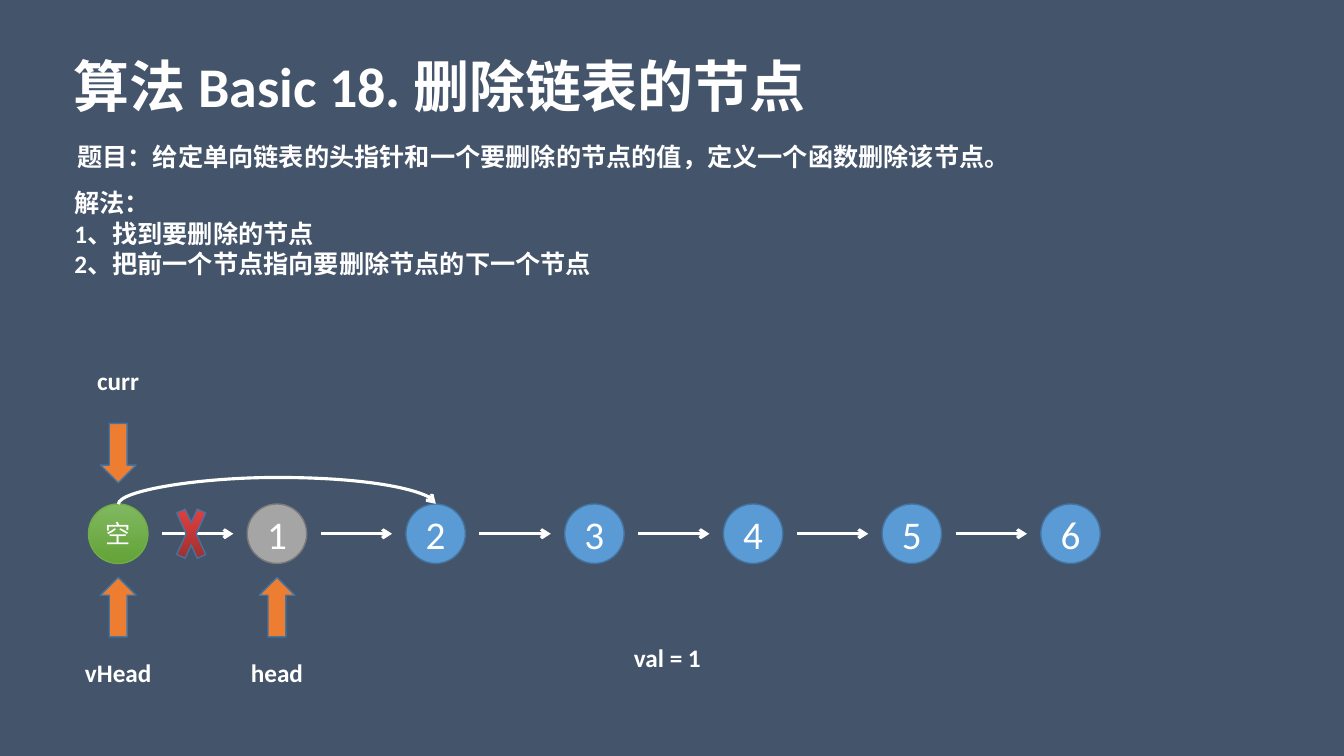
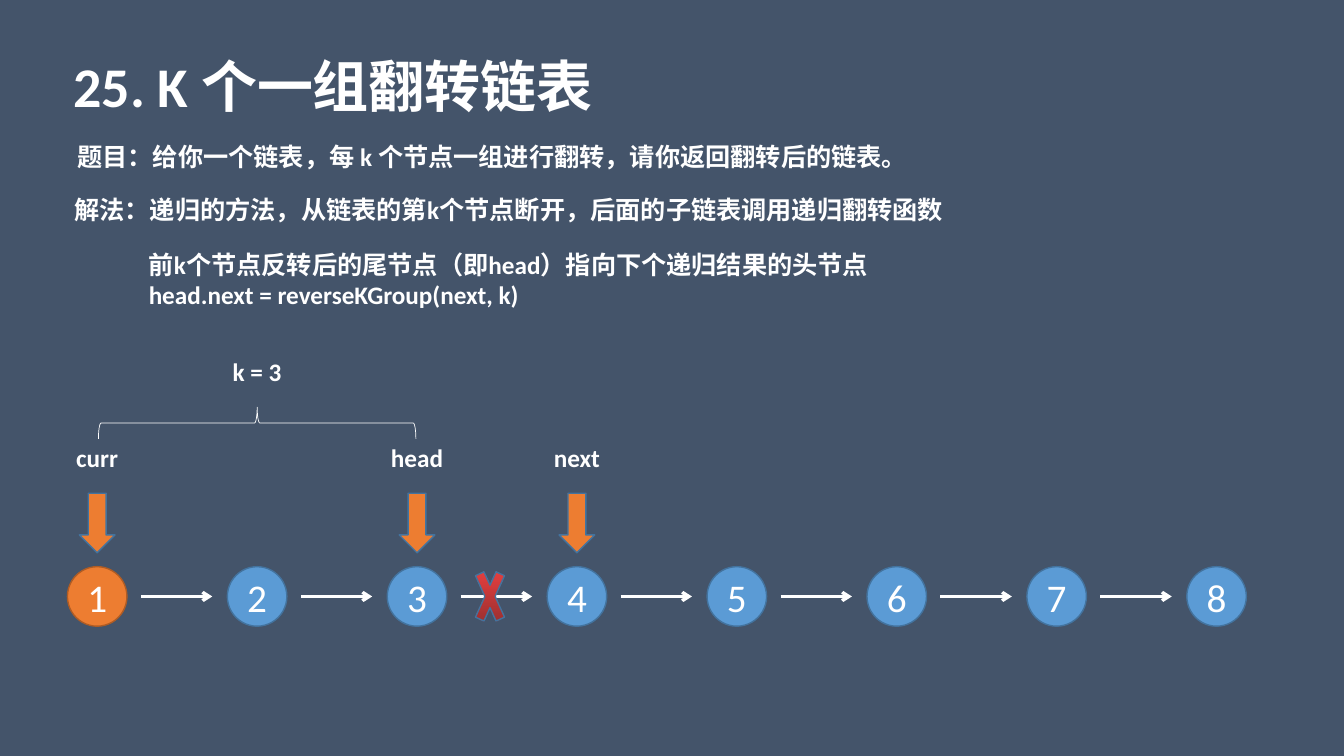
import pptx
import pptx.util
import pptx.dml.color
import pptx.enum.dml
import pptx.enum.shapes
import pptx.enum.text
import pptx.oxml
import pptx.oxml.ns
from lxml import etree

Cm = pptx.util.Cm
Pt = pptx.util.Pt
qn = pptx.oxml.ns.qn
SHAPE = pptx.enum.shapes.MSO_SHAPE
CONNECTOR = pptx.enum.shapes.MSO_CONNECTOR
ALIGN = pptx.enum.text.PP_ALIGN
ANCHOR = pptx.enum.text.MSO_ANCHOR

COLORS = {
    "background": "44546A",
    "white": "FFFFFF",
    "blue": "5B9BD5",
    "blue_edge": "43739E",
    "orange": "ED7D31",
    "orange_edge": "AF5C24",
    "gray": "A5A5A5",
    "gray_edge": "7A7A7A",
    "green_light": "81B861",
    "green_dark": "62A336",
    "green_edge": "70AD47",
    "red_light": "FE4444",
    "red_dark": "832B2B",
}
FONT = "Calibri"
NODE_SIZE = 1.5
LINK_OFFSET = 1.1
LINK_LENGTH = 1.8
CROSS_OFFSET = 1.84


def color(name):
    return pptx.dml.color.RGBColor.from_string(COLORS[name])


def write(frame, lines, size, bold=True, align=ALIGN.LEFT, anchor=ANCHOR.TOP):
    frame.word_wrap = True
    frame.auto_size = pptx.enum.text.MSO_AUTO_SIZE.NONE
    frame.vertical_anchor = anchor
    for index, line in enumerate(lines):
        para = frame.paragraphs[0] if index == 0 else frame.add_paragraph()
        para.alignment = align
        para.space_before = Pt(0)
        span = para.add_run()
        span.text = line
        span.font.name = FONT
        span.font.size = Pt(size)
        span.font.bold = bold
        span.font.color.rgb = color("white")


def place(box, left, top, width, height):
    box.left, box.top = Cm(left), Cm(top)
    box.width, box.height = Cm(width), Cm(height)


def add_text(page, lines, left, top, width, height=1.02, align=ALIGN.LEFT):
    box = page.shapes.add_textbox(Cm(left), Cm(top), Cm(width), Cm(height))
    write(box.text_frame, lines, 18, align=align)


def add_page(deck, title, problem, solution, solution_top):
    page = deck.slides.add_slide(deck.slide_layouts[1])
    heading, body = page.placeholders
    place(heading, 1.6, 1.17, 30, 1.96)
    write(heading.text_frame, [title], 40)
    add_text(page, [problem], 1.7, 3.44, 26)
    place(body, 1.62, solution_top, 31, 0.25 + 0.77 * len(solution))
    write(body.text_frame, solution, 18)
    for para in body.text_frame.paragraphs:
        properties = para._p.get_or_add_pPr()
        properties.set("marL", "0")
        properties.set("indent", "0")
        etree.SubElement(properties, qn("a:buNone"))
    return page


def add_figure(page, kind, x, y, width, height, fill, edge, edge_width=1):
    figure = page.shapes.add_shape(
        kind, Cm(x - width / 2), Cm(y - height / 2), Cm(width), Cm(height))
    figure.shadow.inherit = False
    if fill is None:
        figure.fill.background()
    elif isinstance(fill, tuple):
        figure.fill.gradient()
        figure.fill.gradient_angle = 270
        for stop, name in zip(figure.fill.gradient_stops, fill):
            stop.color.rgb = color(name)
    else:
        figure.fill.solid()
        figure.fill.fore_color.rgb = color(fill)
    figure.line.color.rgb = color(edge)
    figure.line.width = Pt(edge_width)
    return figure


def add_node(page, label, x, y, fill="blue", edge="blue_edge", size=28):
    node = add_figure(page, SHAPE.OVAL, x, y, NODE_SIZE, NODE_SIZE, fill, edge)
    frame = node.text_frame
    frame.margin_left = frame.margin_right = 0
    frame.margin_top = frame.margin_bottom = 0
    write(frame, [label], size, False, ALIGN.CENTER, ANCHOR.MIDDLE)


def style_arrow(arrow):
    arrow.line.color.rgb = color("white")
    arrow.line.width = Pt(2.25)
    tail = etree.SubElement(arrow.line._get_or_add_ln(), qn("a:tailEnd"))
    tail.set("type", "arrow")
    etree.SubElement(arrow._element.spPr, qn("a:effectLst"))


def add_link(page, x, y):
    start = x + LINK_OFFSET
    style_arrow(page.shapes.add_connector(
        CONNECTOR.STRAIGHT, Cm(start), Cm(y), Cm(start + LINK_LENGTH), Cm(y)))


def add_bypass(page, start, end, y, rise):
    middle, half = Cm((start + end) / 2), Cm((end - start) / 2)
    thickness = Pt(0.25)
    arc = page.shapes.add_connector(
        CONNECTOR.CURVE, middle, Cm(y) - half, middle + thickness, Cm(y) + half)
    properties = arc._element.spPr
    properties.find(qn("a:xfrm")).set("rot", "16200000")
    guides = properties.find(qn("a:prstGeom")).get_or_add_avLst()
    guide = etree.SubElement(guides, qn("a:gd"))
    guide.set("name", "adj1")
    guide.set("fmla", f"val {round(Cm(rise) / thickness * 100000)}")
    style_arrow(arc)


def add_chain(page, labels, start, step, y, styles):
    centers = [start + step * index for index in range(len(labels))]
    for label, x in zip(labels, centers):
        add_node(page, label, x, y, **styles.get(label, {}))
    for x in centers[:-1]:
        add_link(page, x, y)
    return centers


def add_pointer(page, name, x, y, arrow_gap, label_gap):
    kind = SHAPE.DOWN_ARROW if arrow_gap < 0 else SHAPE.UP_ARROW
    add_figure(page, kind, x, y + arrow_gap, 0.9, 1.5, "orange", "blue_edge")
    add_text(page, [name], x - 1.2, y + label_gap - 0.51, 2.4, align=ALIGN.CENTER)


def add_cross(page, x, y):
    add_figure(page, SHAPE.MATH_MULTIPLY, x + CROSS_OFFSET, y, 1, 2.2,
               ("red_light", "red_dark"), "blue_edge")


def build_delete_node(deck):
    page = add_page(
        deck, "算法 Basic 18. 删除链表的节点",
        "题目：给定单向链表的头指针和一个要删除的节点的值，定义一个函数删除该节点。",
        ["解法：", "1、找到要删除的节点", "2、把前一个节点指向要删除节点的下一个节点"], 4.6)
    y = 13.45
    styles = {
        "空": {"fill": ("green_light", "green_dark"), "edge": "green_edge", "size": 18},
        "1": {"fill": "gray", "edge": "gray_edge"},
    }
    centers = add_chain(page, "空123456", 2.98, 4, y, styles)
    add_cross(page, centers[0], y)
    add_bypass(page, centers[0], centers[2], y - NODE_SIZE / 2, 0.66)
    add_pointer(page, "curr", centers[0], y, -2.03, -3.87)
    add_pointer(page, "vHead", centers[0], y, 1.85, 3.5)
    add_pointer(page, "head", centers[1], y, 1.85, 3.5)
    add_text(page, ["val = 1"], 14.22, 16.05, 5.2, align=ALIGN.CENTER)


def build_reverse_groups(deck):
    page = add_page(
        deck, "25. K 个一组翻转链表",
        "题目：给你一个链表，每 k 个节点一组进行翻转，请你返回翻转后的链表。",
        ["解法：递归的方法，从链表的第k个节点断开，后面的子链表调用递归翻转函数"], 4.78)
    add_text(page, ["前k个节点反转后的尾节点（即head）指向下个递归结果的头节点",
                    "head.next = reverseKGroup(next, k)"], 3.5, 6.15, 20.6, 1.8)
    y = 15.03
    styles = {"1": {"fill": "orange", "edge": "orange_edge"}}
    centers = add_chain(page, "12345678", 2.45, 4.03, y, styles)
    add_cross(page, centers[2], y)
    for name, index in (("curr", 0), ("head", 2), ("next", 3)):
        add_pointer(page, name, centers[index], y, -1.85, -3.5)
    brace = add_figure(page, SHAPE.LEFT_BRACE, centers[1], 10.66, 0.8, 8,
                       None, "white", 0.5)
    brace.rotation = 90
    add_text(page, ["k = 3"], centers[1] - 1.3, 8.86, 2.6, align=ALIGN.CENTER)


def main():
    deck = pptx.Presentation()
    deck.slide_width, deck.slide_height = Cm(33.87), Cm(19.05)
    backdrop = deck.slide_master.background.fill
    backdrop.solid()
    backdrop.fore_color.rgb = color("background")
    build_delete_node(deck)
    build_reverse_groups(deck)
    deck.save("out.pptx")


if __name__ == "__main__":
    main()
